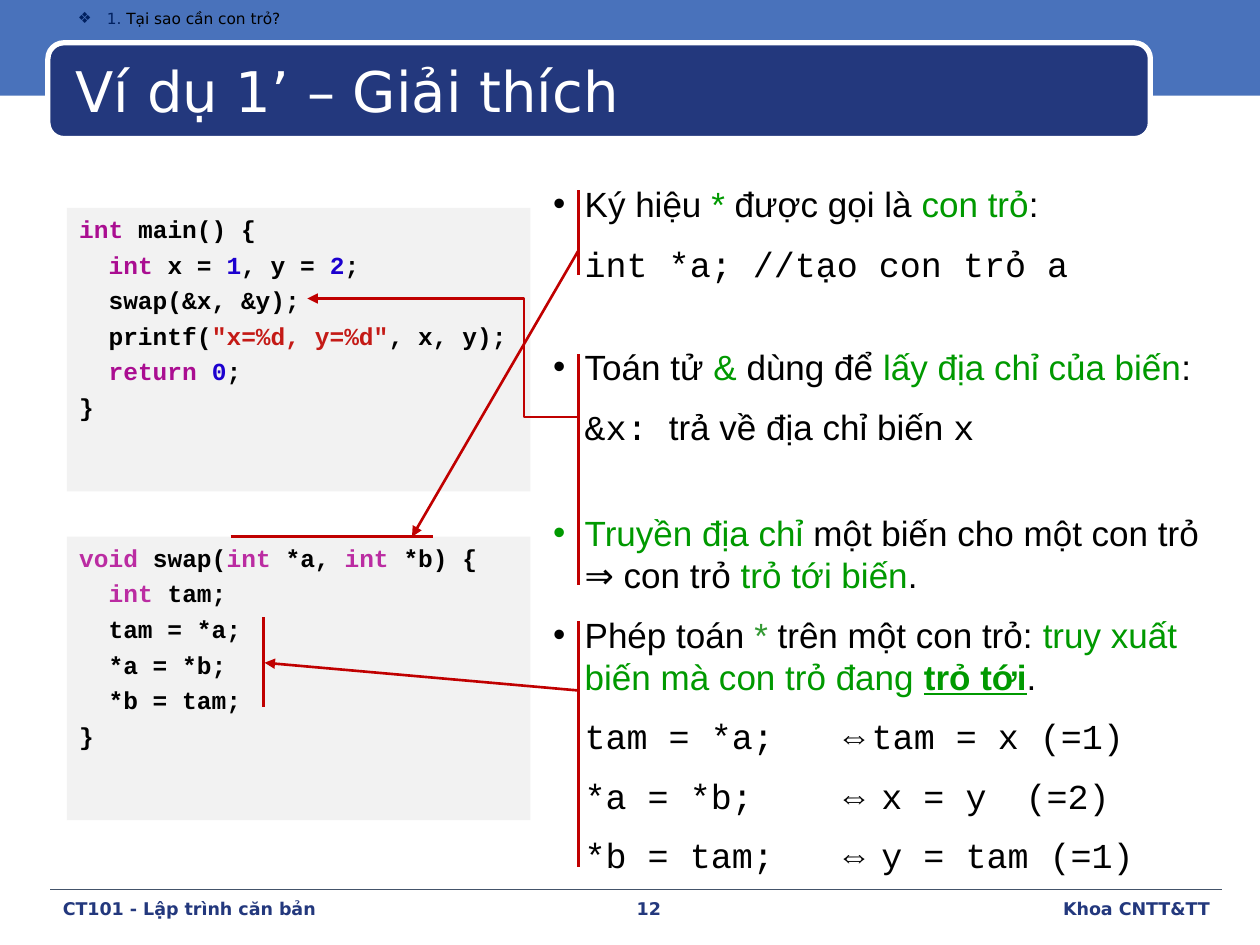
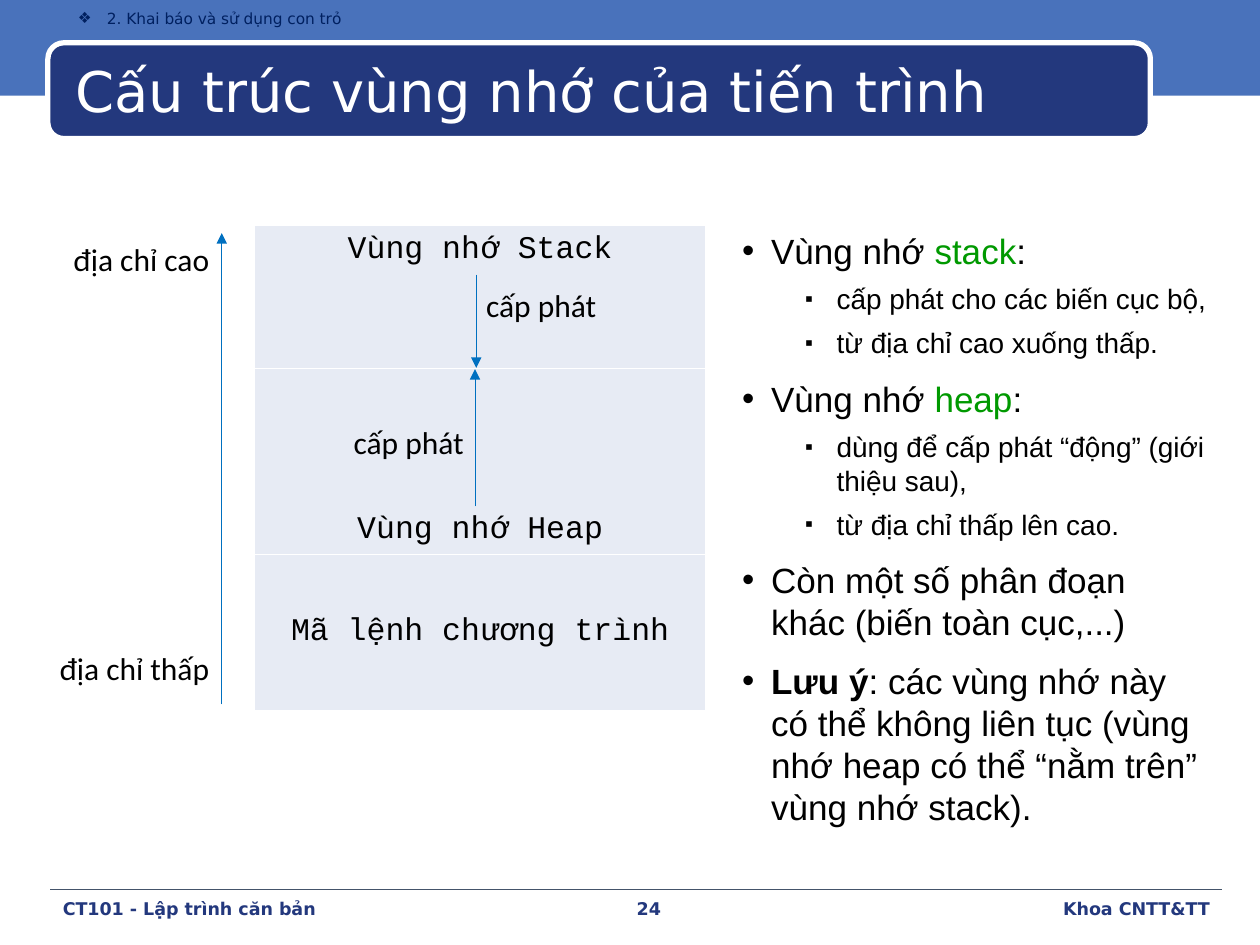
from dataclasses import dataclass
from functools import partial
from typing import NamedTuple, Optional, Sequence

from lxml import etree
from pptx import Presentation
from pptx.dml.color import RGBColor
from pptx.enum import shapes as kinds, text as layout
from pptx.oxml import ns
from pptx.util import Inches, Pt


@dataclass(frozen=True)
class Theme:
    band: str = "4972BB"
    navy: str = "23387D"
    crumb: str = "002060"
    rule: str = "44546A"
    white: str = "FFFFFF"
    black: str = "000000"
    green: str = "009900"
    soft_green: str = "339933"
    red: str = "C00000"
    blue: str = "0070C0"
    code_fill: str = "F2F2F2"
    cell_fill: str = "E7EBF4"
    number: str = "1C00CF"
    literal: str = "C41A16"
    main_keyword: str = "AA0D91"
    swap_keyword: str = "BB2CA2"
    heading_font: str = "DejaVu Sans"
    body_font: str = "Arial"
    code_font: str = "Courier New"
    label_font: str = "Calibri"
    title_size: float = 32
    body_size: float = 20
    label_size: float = 18
    sub_size: float = 16
    code_size: float = 14
    footer_size: float = 10
    crumb_size: float = 8.8


THEME = Theme()


class Span(NamedTuple):
    text: str
    color: Optional[str] = None
    font: Optional[str] = None
    bold: Optional[bool] = None
    underline: Optional[bool] = None


class Style(NamedTuple):
    font: str
    size: float
    color: str = THEME.black
    bold: bool = False
    align: layout.PP_ALIGN = layout.PP_ALIGN.LEFT
    before: float = 0
    spacing: float = 1.0
    margin: float = 0
    hang: float = 0
    bullet: str = ""
    bullet_scale: int = 100
    level: int = 0


class Para(NamedTuple):
    style: Style
    spans: Sequence[Span]
    bullet_color: str = THEME.black


class Box(NamedTuple):
    left: float
    top: float
    width: float
    height: float

    def lengths(self) -> list:
        return [Inches(value) for value in self]


class Line(NamedTuple):
    start: tuple
    end: tuple
    color: str
    width: float
    arrow: bool = False
    bend: Optional[int] = None


# Paragraph styles
POINT = Style(THEME.body_font, THEME.body_size, before=10, margin=0.25, hang=0.25, bullet="•")
CODE_NOTE = POINT._replace(font=THEME.code_font, hang=0, bullet="")
TOPIC = POINT._replace(margin=0.23, hang=0.23)
SUBPOINT = Style(THEME.body_font, THEME.sub_size, before=6, margin=0.75,
                 hang=0.25, bullet="▪", bullet_scale=80, level=1)
CODE = Style(THEME.code_font, THEME.code_size, bold=True, before=3.5)
TITLE = Style(THEME.heading_font, THEME.title_size, THEME.white, spacing=0.9)
CRUMB = Style(THEME.heading_font, THEME.crumb_size, THEME.crumb, spacing=0.8,
              margin=0.23, hang=0.23, bullet="❖")
FOOTER = Style(THEME.heading_font, THEME.footer_size, THEME.navy, bold=True)
LABEL = Style(THEME.label_font, THEME.label_size)
LABEL_RIGHT = LABEL._replace(align=layout.PP_ALIGN.RIGHT)
CELL = Style(THEME.code_font, THEME.label_size, align=layout.PP_ALIGN.CENTER)

green = partial(Span, color=THEME.green)
mono = partial(Span, font=THEME.code_font)
number = partial(Span, color=THEME.number)


def add_xml(parent, tag: str, **attributes):
    return etree.SubElement(parent, ns.qn(tag), attributes)


def add_color(parent, tag: str, color: str) -> None:
    add_xml(add_xml(parent, tag), "a:srgbClr", val=color)


def format_paragraph(paragraph, para: Para, first: bool) -> None:
    style = para.style
    props = paragraph._p.get_or_add_pPr()
    props.set("marL", str(Inches(style.margin)))
    props.set("indent", str(-Inches(style.hang)))
    if style.bullet:
        add_color(props, "a:buClr", para.bullet_color)
        add_xml(props, "a:buSzPct", val=str(style.bullet_scale * 1000))
        add_xml(props, "a:buFont", typeface=THEME.body_font)
        add_xml(props, "a:buChar", char=style.bullet)
    else:
        add_xml(props, "a:buNone")
    paragraph.level = style.level
    paragraph.alignment = style.align
    paragraph.line_spacing = style.spacing
    paragraph.space_before = Pt(0 if first else style.before)
    paragraph.space_after = Pt(0)
    font = paragraph.font
    font.name, font.size, font.bold = style.font, Pt(style.size), style.bold
    font.color.rgb = RGBColor.from_string(style.color)


def write(frame, paras: Sequence[Para]) -> None:
    for index, para in enumerate(paras):
        paragraph = frame.add_paragraph() if index else frame.paragraphs[0]
        format_paragraph(paragraph, para, first=index == 0)
        for span in para.spans:
            for part, text in enumerate(span.text.split("\n")):
                if part:
                    paragraph.add_line_break()
                if not text:
                    continue
                run = paragraph.add_run()
                run.text = text
                if span.color:
                    run.font.color.rgb = RGBColor.from_string(span.color)
                if span.font:
                    run.font.name = span.font
                if span.bold is not None:
                    run.font.bold = span.bold
                if span.underline is not None:
                    run.font.underline = span.underline


def fill_frame(shape, paras: Sequence[Para], anchor=layout.MSO_ANCHOR.TOP) -> None:
    frame = shape.text_frame
    frame.word_wrap = True
    frame.auto_size = layout.MSO_AUTO_SIZE.NONE
    frame.vertical_anchor = anchor
    write(frame, paras)


def add_text(page, box: Box, paras: Sequence[Para], anchor=layout.MSO_ANCHOR.TOP) -> None:
    fill_frame(page.shapes.add_textbox(*box.lengths()), paras, anchor)


def add_panel(page, kind, box: Box, fill: str, outline: Optional[str] = None):
    panel = page.shapes.add_shape(kind, *box.lengths())
    panel.shadow.inherit = False
    panel.fill.solid()
    panel.fill.fore_color.rgb = RGBColor.from_string(fill)
    if outline:
        panel.line.color.rgb = RGBColor.from_string(outline)
        panel.line.width = Pt(3)
    else:
        panel.line.fill.background()
    return panel


def add_line(page, line: Line) -> None:
    kind = kinds.MSO_CONNECTOR.STRAIGHT if line.bend is None else kinds.MSO_CONNECTOR.ELBOW
    connector = page.shapes.add_connector(kind, *(Inches(v) for v in line.start + line.end))
    connector.line.color.rgb = RGBColor.from_string(line.color)
    connector.line.width = Pt(line.width)
    props = connector._element.spPr
    if line.arrow:
        add_xml(props.find(ns.qn("a:ln")), "a:tailEnd", type="triangle")
    if line.bend is not None:
        guides = props.find(ns.qn("a:prstGeom")).find(ns.qn("a:avLst"))
        add_xml(guides, "a:gd", name="adj1", fmla=f"val {line.bend}")
    add_xml(props, "a:effectLst")


def add_footer(page, page_number: int) -> None:
    add_line(page, Line((0.4, 7.06), (9.7, 7.06), THEME.rule, 0.25))
    for text, align, left, width in (
            ("CT101 - Lập trình căn bản", layout.PP_ALIGN.LEFT, 0.4, 3),
            (str(page_number), layout.PP_ALIGN.CENTER, 4.65, 1),
            ("Khoa CNTT&TT", layout.PP_ALIGN.RIGHT, 6.7, 3)):
        add_text(page, Box(left, 7.08, width, 0.28),
                 [Para(FOOTER._replace(align=align), [Span(text)])])


def add_page(deck, title: str, crumb: Sequence[Span], page_number: int,
             body_box: Box, body: Sequence[Para]):
    page = deck.slides.add_slide(deck.slide_layouts[1])
    # Bands, breadcrumb and footer
    add_panel(page, kinds.MSO_SHAPE.RECTANGLE, Box(0, 0, 10, 0.76), THEME.band)
    add_panel(page, kinds.MSO_SHAPE.ROUNDED_RECTANGLE, Box(0.38, 0.34, 8.75, 0.76),
              THEME.navy, THEME.white)
    add_footer(page, page_number)
    add_text(page, Box(0.52, 0.03, 8.5, 0.26), [Para(CRUMB, crumb, THEME.crumb)],
             layout.MSO_ANCHOR.MIDDLE)
    # Placeholders go above the bands
    heading, content = page.shapes.title, page.placeholders[1]
    for holder, box in ((heading, Box(0.5, 0.4, 8.7, 0.7)), (content, body_box)):
        holder.left, holder.top, holder.width, holder.height = box.lengths()
        page.shapes._spTree.append(holder._element)
    fill_frame(heading, [Para(TITLE, [Span(title)])], layout.MSO_ANCHOR.MIDDLE)
    fill_frame(content, body)
    return page


def add_code(page, top: float, lines: Sequence[Sequence[Span]]) -> None:
    panel = add_panel(page, kinds.MSO_SHAPE.RECTANGLE, Box(0.53, top, 3.68, 2.25), THEME.code_fill)
    fill_frame(panel, [Para(CODE, line) for line in lines])


def build_example(deck) -> None:
    body = [
        Para(POINT, [Span("Ký hiệu "), green("*"), Span(" được gọi là "), green("con trỏ"), Span(":")]),
        Para(CODE_NOTE, [Span("int *a; //tạo con trỏ a")]),
        Para(POINT._replace(before=35), [Span("Toán tử "), green("&"), Span(" dùng để "),
                                         green("lấy địa chỉ của biến"), Span(":")]),
        Para(CODE_NOTE._replace(font=THEME.body_font),
             [mono("&x: "), Span("trả về địa chỉ biến "), mono("x")]),
        Para(POINT._replace(before=37),
             [green("Truyền địa chỉ "), Span("một biến cho một con trỏ \n"),
              Span("⇒", font=THEME.heading_font), Span(" con trỏ "),
              green("trỏ tới biến"), Span(".")], THEME.green),
        Para(POINT, [Span("Phép toán "), Span("*", THEME.soft_green), Span(" trên một con trỏ: "),
                     green("truy xuất biến mà con trỏ đang "),
                     green("trỏ tới", bold=True, underline=True), Span(".")]),
    ]
    for statement, sign, meaning in (("tam = *a;\t", "⇔", "tam = x (=1)"),
                                     ("*a = *b;\t\t", "⇔ ", "x = y\t(=2)"),
                                     ("*b = tam;\t", "⇔ ", "y = tam (=1)")):
        body.append(Para(CODE_NOTE, [Span(statement), Span(sign, font=THEME.body_font, bold=True),
                                     Span(meaning)]))
    page = add_page(deck, "Ví dụ 1’ – Giải thích",
                    [Span("1. "), Span("Tại sao cần con trỏ?", THEME.black)],
                    12, Box(4.29, 1.4, 5.57, 5.7), body)

    # Code panels
    keyword = partial(Span, color=THEME.swap_keyword)
    add_code(page, 4.26, [
        [keyword("void"), Span(" swap("), keyword("int"), Span(" *a, "), keyword("int"), Span(" *b) {")],
        [Span("  "), keyword("int"), Span(" tam;")],
        [Span("  tam = *a;")],
        [Span("  *a = *b;")],
        [Span("  *b = tam;")],
        [Span("}")],
    ])
    keyword = partial(Span, color=THEME.main_keyword)
    add_code(page, 1.65, [
        [keyword("int"), Span(" main() {")],
        [Span("  "), keyword("int"), Span(" x = "), number("1"), Span(", y = "), number("2"), Span(";")],
        [Span("  swap(&x, &y);")],
        [Span("  printf("), Span('"x=%d, y=%d"', THEME.literal), Span(", x, y);")],
        [Span("  "), keyword("return "), number("0"), Span(";")],
        [Span("}")],
    ])

    # Marker bars and the arrows between notes and code
    marker = partial(Line, color=THEME.red, width=1.5)
    rail = 4.59
    for top, bottom in ((1.51, 2.18), (2.81, 4.64), (4.93, 6.88)):
        add_line(page, marker((rail, top), (rail, bottom)))
    add_line(page, marker((1.83, 4.26), (3.44, 4.26)))
    add_line(page, marker((2.09, 4.9), (2.09, 5.61)))
    add_line(page, marker((rail, 1.99), (3.27, 4.26), arrow=True))
    add_line(page, marker((rail, 3.31), (2.44, 2.37), arrow=True, bend=20100))
    add_line(page, marker((rail, 5.48), (2.1, 5.26), arrow=True))


def add_memory_table(page) -> None:
    anchors = layout.MSO_ANCHOR
    regions = (("Vùng nhớ Stack", 1.13, anchors.TOP), ("Vùng nhớ Heap", 1.48, anchors.BOTTOM),
               ("Mã lệnh chương trình", 1.24, anchors.MIDDLE))
    table = page.shapes.add_table(len(regions), 1, *Box(2.02, 1.79, 3.58, 3.85).lengths()).table
    table.first_row = table.horz_banding = False
    for index, (name, height, anchor) in enumerate(regions):
        table.rows[index].height = Inches(height)
        cell = table.cell(index, 0)
        cell.vertical_anchor = anchor
        props = cell._tc.get_or_add_tcPr()
        for side in ("a:lnL", "a:lnR", "a:lnT", "a:lnB"):
            add_color(add_xml(props, side, w=str(Pt(0.45))), "a:solidFill", THEME.white)
        cell.fill.solid()
        cell.fill.fore_color.rgb = RGBColor.from_string(THEME.cell_fill)
        write(cell.text_frame, [Para(CELL, [Span(name)])])


def build_memory(deck) -> None:
    page = add_page(deck, "Cấu trúc vùng nhớ của tiến trình",
                    [Span("2. Khai báo và sử dụng con trỏ")], 24, Box(5.79, 1.77, 3.91, 5.33), [
        Para(TOPIC, [Span("Vùng nhớ "), green("stack"), Span(":")]),
        Para(SUBPOINT, [Span("cấp phát cho các biến cục bộ,")]),
        Para(SUBPOINT, [Span("từ địa chỉ cao xuống thấp.")]),
        Para(TOPIC, [Span("Vùng nhớ "), green("heap"), Span(":")]),
        Para(SUBPOINT, [Span("dùng để cấp phát “động” (giới thiệu sau),")]),
        Para(SUBPOINT, [Span("từ địa chỉ thấp lên cao.")]),
        Para(TOPIC, [Span("Còn một số phân đoạn khác (biến toàn cục,...)")]),
        Para(TOPIC, [Span("Lưu ý", bold=True),
                     Span(": các vùng nhớ này có thể không liên tục "
                          "(vùng nhớ heap có thể “nằm trên” vùng nhớ stack).")]),
    ])
    add_memory_table(page)

    # Address axis and growth directions
    for start, end in (((1.76, 5.59), (1.76, 1.85)), ((3.78, 2.18), (3.78, 2.92)),
                       ((3.77, 4.02), (3.77, 2.93))):
        add_line(page, Line(start, end, THEME.blue, 0.5, arrow=True))
    for text, style, left, top, width in (
            ("địa chỉ thấp", LABEL_RIGHT, 0.3, 5.1, 1.46),
            ("địa chỉ cao", LABEL_RIGHT, 0.3, 1.86, 1.46),
            ("cấp phát", LABEL_RIGHT, 2.68, 3.31, 1.1),
            ("cấp phát", LABEL, 3.76, 2.22, 1.13)):
        add_text(page, Box(left, top, width, 0.4), [Para(style, [Span(text)])])


def main() -> None:
    deck = Presentation()
    deck.slide_width, deck.slide_height = Inches(10), Inches(7.5)
    build_example(deck)
    build_memory(deck)
    deck.save("out.pptx")


if __name__ == "__main__":
    main()
